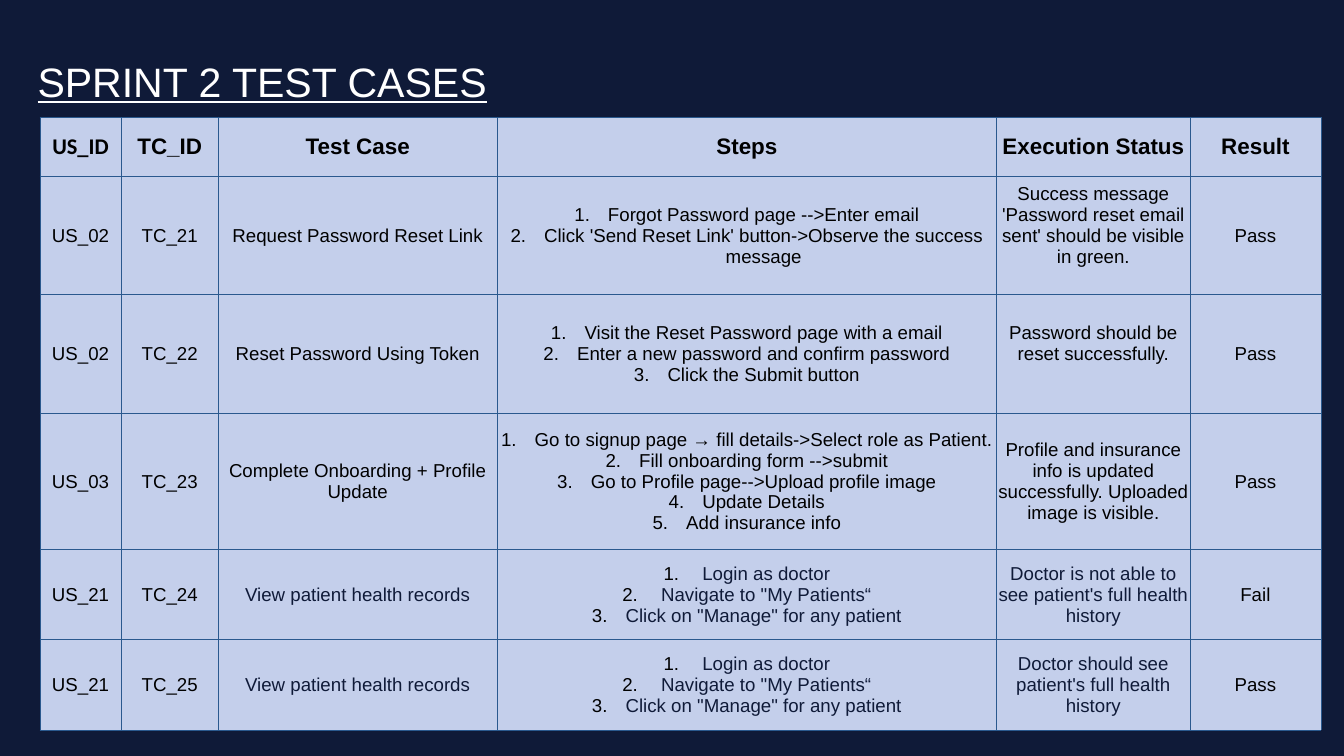
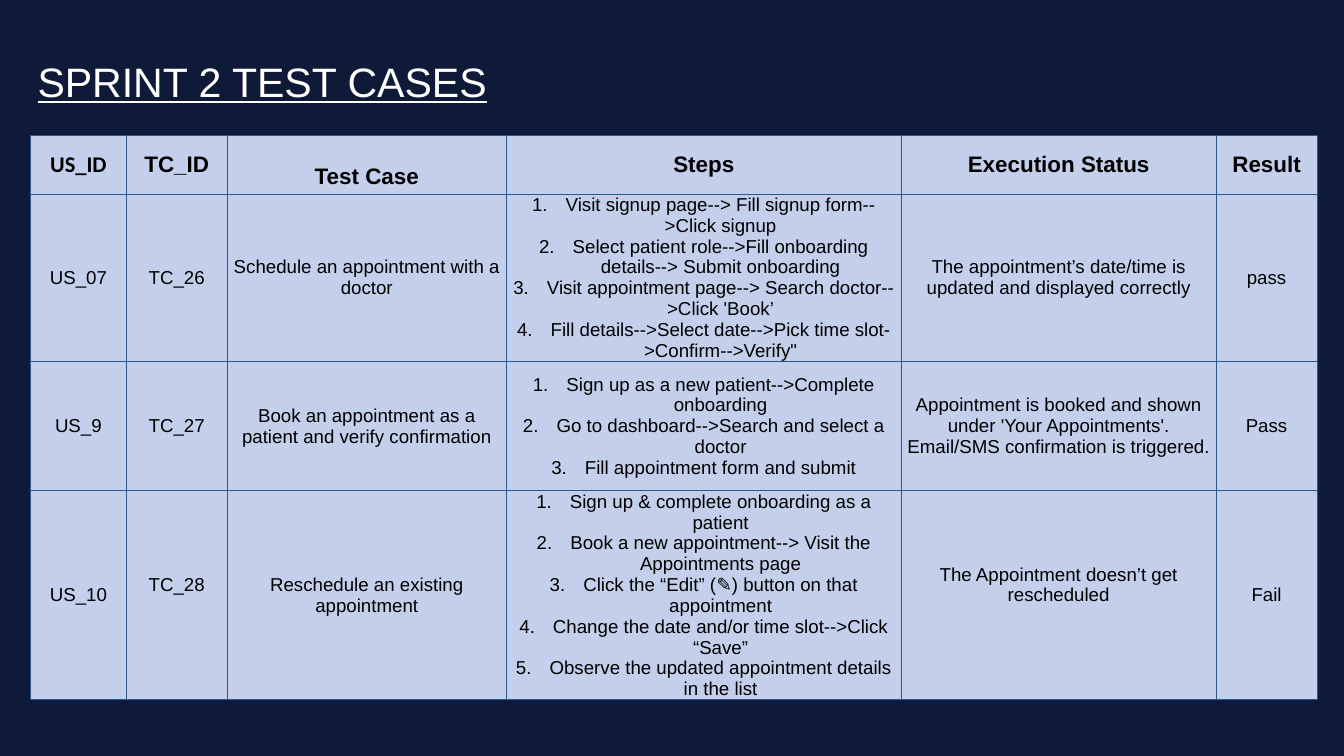
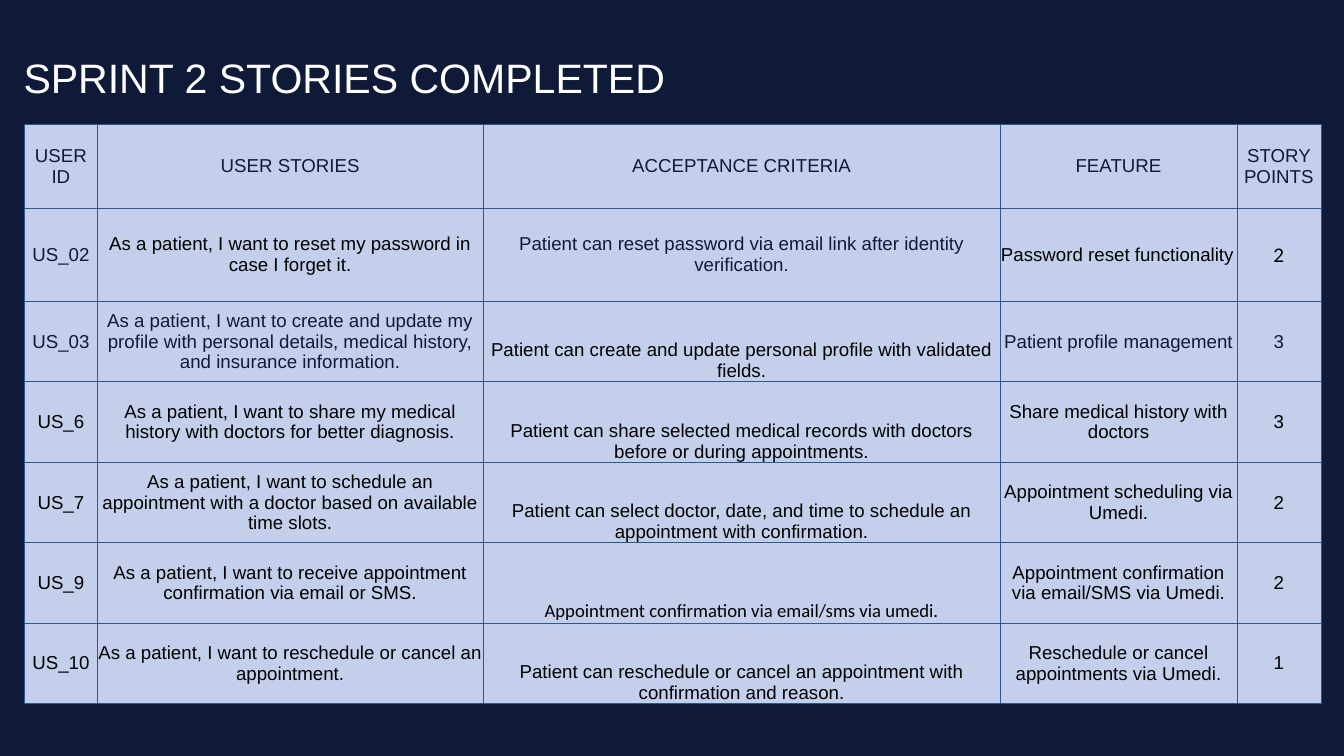
from lxml.etree import SubElement
from pptx import Presentation
from pptx.dml.color import RGBColor
from pptx.enum.text import MSO_ANCHOR as ANCHOR, MSO_AUTO_SIZE as AUTO_SIZE, PP_ALIGN as ALIGN
from pptx.oxml.ns import qn
from pptx.util import Emu, Pt

PX = 9525  # EMU per px, on a slide of 1920 by 1080 px
NAVY = RGBColor(0x0F, 0x1A, 0x38)
BLACK = RGBColor(0x00, 0x00, 0x00)
WHITE = RGBColor(0xFF, 0xFF, 0xFF)
CELL_BLUE = RGBColor(0xC4, 0xCF, 0xEB)
BORDER_BLUE = RGBColor(0x2A, 0x59, 0x8E)
TITLE_SIZE, HEADER_SIZE, TEXT_SIZE = Pt(44), Pt(24), Pt(20)
STEP_INDENT = 48 * PX

TEST_HEADER = ["US_ID", "TC_ID", "Test Case", "Steps", "Execution Status", "Result"]
RECORD_STEPS = [" Login as doctor", " Navigate to \"My Patients“",
                "Click on \"Manage\" for any patient"]

# Exceptions are keyed by (row, column); pads are extra (top, bottom) margins in px.
# A list in a cell becomes numbered steps.
PAGES = [
    {
        "title": "SPRINT 2 TEST CASES", "title_at": (44, 38), "underline": True,
        "table_at": (57, 168),
        "columns": [116, 139, 398, 714, 276, 187],
        "rows": [84, 169, 169, 195, 129, 129],
        "header_size": HEADER_SIZE, "header_bold": True,
        "fonts": {(0, 0): "Calibri"},
        "navy": {(row, column) for row in (4, 5) for column in (2, 3, 4)},
        "pads": {(1, 4): (0, 30), (2, 4): (0, 30)},
        "cells": [
            TEST_HEADER,
            ["US_02", "TC_21", "Request Password Reset Link",
             ["Forgot Password page -->Enter email",
              "Click 'Send Reset Link' button->Observe the success message"],
             "Success message 'Password reset email sent' should be visible in green.", "Pass"],
            ["US_02", "TC_22", "Reset Password Using Token",
             ["Visit the Reset Password page with a email",
              "Enter a new password and confirm password",
              "Click the Submit button"],
             "Password should be reset successfully.", "Pass"],
            ["US_03", "TC_23", "Complete Onboarding + Profile Update",
             ["Go to signup page → fill details->Select role as Patient.",
              "Fill onboarding form -->submit",
              "Go to Profile page-->Upload profile image",
              "Update Details",
              "Add insurance info"],
             "Profile and insurance info is updated successfully. Uploaded image is visible.",
             "Pass"],
            ["US_21", "TC_24", "View patient health records", RECORD_STEPS,
             "Doctor is not able to see patient's full health history", "Fail"],
            ["US_21", "TC_25", "View patient health records", RECORD_STEPS,
             "Doctor should see patient's full health history", "Pass"],
        ],
    },
    {
        "title": "SPRINT 2 TEST CASES", "title_at": (44, 38), "underline": True,
        "table_at": (44, 193),
        "columns": [136, 145, 398, 565, 449, 145],
        "rows": [84, 238, 185, 298],
        "header_size": HEADER_SIZE, "header_bold": True,
        "fonts": {(0, 0): "Calibri"},
        "navy": set(),
        "pads": {(0, 2): (36, 0), (3, 1): (0, 30), (3, 4): (0, 30)},
        "cells": [
            TEST_HEADER,
            ["US_07", "TC_26", "Schedule an appointment with a doctor",
             ["Visit signup page--> Fill signup form-->Click signup",
              "Select patient role-->Fill onboarding details--> Submit onboarding",
              "Visit appointment page--> Search doctor-->Click 'Book’",
              "Fill details-->Select date-->Pick time slot->Confirm-->Verify\""],
             "The appointment’s date/time is updated and displayed correctly", "pass"],
            ["US_9", "TC_27", "Book an appointment as a patient and verify confirmation",
             ["Sign up as a new patient-->Complete onboarding",
              "Go to dashboard-->Search and select a doctor",
              "Fill appointment form and submit"],
             "Appointment is booked and shown under 'Your Appointments'. "
             "Email/SMS confirmation is triggered.", "Pass"],
            ["US_10", "TC_28", "Reschedule an existing appointment",
             ["Sign up & complete onboarding as a patient",
              "Book a new appointment--> Visit the Appointments page",
              "Click the “Edit” (✎) button on that appointment",
              "Change the date and/or time slot-->Click “Save”",
              "Observe the updated appointment details in the list"],
             "The Appointment doesn’t get rescheduled", "Fail"],
        ],
    },
    {
        "title": "SPRINT 2 STORIES COMPLETED", "title_at": (24, 33), "underline": False,
        "table_at": (35, 178),
        "columns": [104, 551, 739, 338, 120],
        "rows": [119, 133] + [115] * 5,
        "header_size": TEXT_SIZE, "header_bold": False,
        "fonts": {(1, 4): "Lato", (5, 2): "Calibri"},
        "navy": {(0, column) for column in range(5)}
                | {(1, 0), (1, 2), (2, 0), (2, 1), (2, 3), (2, 4)},
        "pads": {},
        "bottom": {(row, 2) for row in range(2, 7)},
        "left": {(1, 3)},
        "cells": [
            ["USER ID", "USER STORIES", "ACCEPTANCE CRITERIA", "FEATURE", "STORY POINTS"],
            ["US_02", "As a patient, I want to reset my password in case I forget it.",
             "Patient can reset password via email link after identity verification.",
             "Password reset functionality", "2"],
            ["US_03", "As a patient, I want to create and update my profile with personal "
             "details, medical history, and insurance information.",
             "Patient can create and update personal profile with validated fields.",
             "Patient profile management", "3"],
            ["US_6", "As a patient, I want to share my medical history with doctors for "
             "better diagnosis.",
             "Patient can share selected medical records with doctors before or during "
             "appointments.",
             "Share medical history with doctors", "3"],
            ["US_7", "As a patient, I want to schedule an appointment with a doctor based on "
             "available time slots.",
             "Patient can select doctor, date, and time to schedule an appointment with "
             "confirmation.",
             "Appointment scheduling via Umedi.", "2"],
            ["US_9", "As a patient, I want to receive appointment confirmation via email or SMS.",
             "Appointment confirmation via email/sms via umedi.",
             "Appointment confirmation via email/SMS via Umedi.", "2"],
            ["US_10", "As a patient, I want to reschedule or cancel an appointment.",
             "Patient can reschedule or cancel an appointment with confirmation and reason.",
             "Reschedule or cancel appointments via Umedi.", "1"],
        ],
    },
]


def add_borders(cell):
    properties = cell._tc.get_or_add_tcPr()
    for side in ("a:lnL", "a:lnR", "a:lnT", "a:lnB"):
        line = SubElement(properties, qn(side), w=str(Pt(0.75)))
        fill = SubElement(line, qn("a:solidFill"))
        SubElement(fill, qn("a:srgbClr"), val=str(BORDER_BLUE))


def number_step(paragraph):
    """Give the paragraph a hanging, automatic black number."""
    properties = paragraph._p.get_or_add_pPr()
    properties.set("marL", str(STEP_INDENT))
    properties.set("indent", str(-STEP_INDENT))
    colour = SubElement(properties, qn("a:buClr"))
    SubElement(colour, qn("a:srgbClr"), val=str(BLACK))
    SubElement(properties, qn("a:buAutoNum"), type="arabicPeriod")


presentation = Presentation()
presentation.slide_width, presentation.slide_height = Emu(1920 * PX), Emu(1080 * PX)
background = presentation.slide_master.background.fill
background.solid()
background.fore_color.rgb = NAVY
title_only = presentation.slide_layouts[5]

for page in PAGES:
    slide = presentation.slides.add_slide(title_only)

    title = slide.shapes.title
    title.left, title.top = (Emu(value * PX) for value in page["title_at"])
    title.width, title.height = Emu(1260 * PX), Emu(155 * PX)
    title.text_frame.auto_size = AUTO_SIZE.NONE
    title.text_frame.vertical_anchor = ANCHOR.MIDDLE
    paragraph = title.text_frame.paragraphs[0]
    paragraph.alignment = ALIGN.LEFT
    run = paragraph.add_run()
    run.text = page["title"]
    run.font.name, run.font.size = "Arial", TITLE_SIZE
    run.font.underline = page["underline"]
    run.font.color.rgb = WHITE

    columns, rows = page["columns"], page["rows"]
    left, top = page["table_at"]
    table = slide.shapes.add_table(len(rows), len(columns), left * PX, top * PX,
                                   sum(columns) * PX, sum(rows) * PX).table
    for column, width in zip(table.columns, columns):
        column.width = Emu(width * PX)
    for row, height in zip(table.rows, rows):
        row.height = Emu(height * PX)

    for row_index, row_texts in enumerate(page["cells"]):
        is_header = row_index == 0
        side_margin = 0 if is_header else PX
        for column_index, content in enumerate(row_texts):
            place = (row_index, column_index)
            cell = table.cell(*place)
            add_borders(cell)
            cell.fill.solid()
            cell.fill.fore_color.rgb = CELL_BLUE
            pad_top, pad_bottom = page["pads"].get(place, (0, 0))
            cell.margin_left = cell.margin_right = side_margin
            cell.margin_top = side_margin + pad_top * PX
            cell.margin_bottom = pad_bottom * PX
            at_bottom = place in page.get("bottom", ())
            cell.vertical_anchor = ANCHOR.BOTTOM if at_bottom else ANCHOR.MIDDLE

            is_steps = isinstance(content, list)
            for index, text in enumerate(content if is_steps else [content]):
                frame = cell.text_frame
                paragraph = frame.add_paragraph() if index else frame.paragraphs[0]
                at_left = place in page.get("left", ())
                paragraph.alignment = ALIGN.LEFT if at_left else ALIGN.CENTER
                if is_steps:
                    number_step(paragraph)
                run = paragraph.add_run()
                run.text = text
                run.font.name = page["fonts"].get(place, "Arial")
                run.font.size = page["header_size"] if is_header else TEXT_SIZE
                run.font.bold = is_header and page["header_bold"]
                run.font.color.rgb = NAVY if place in page["navy"] else BLACK

presentation.save("out.pptx")
